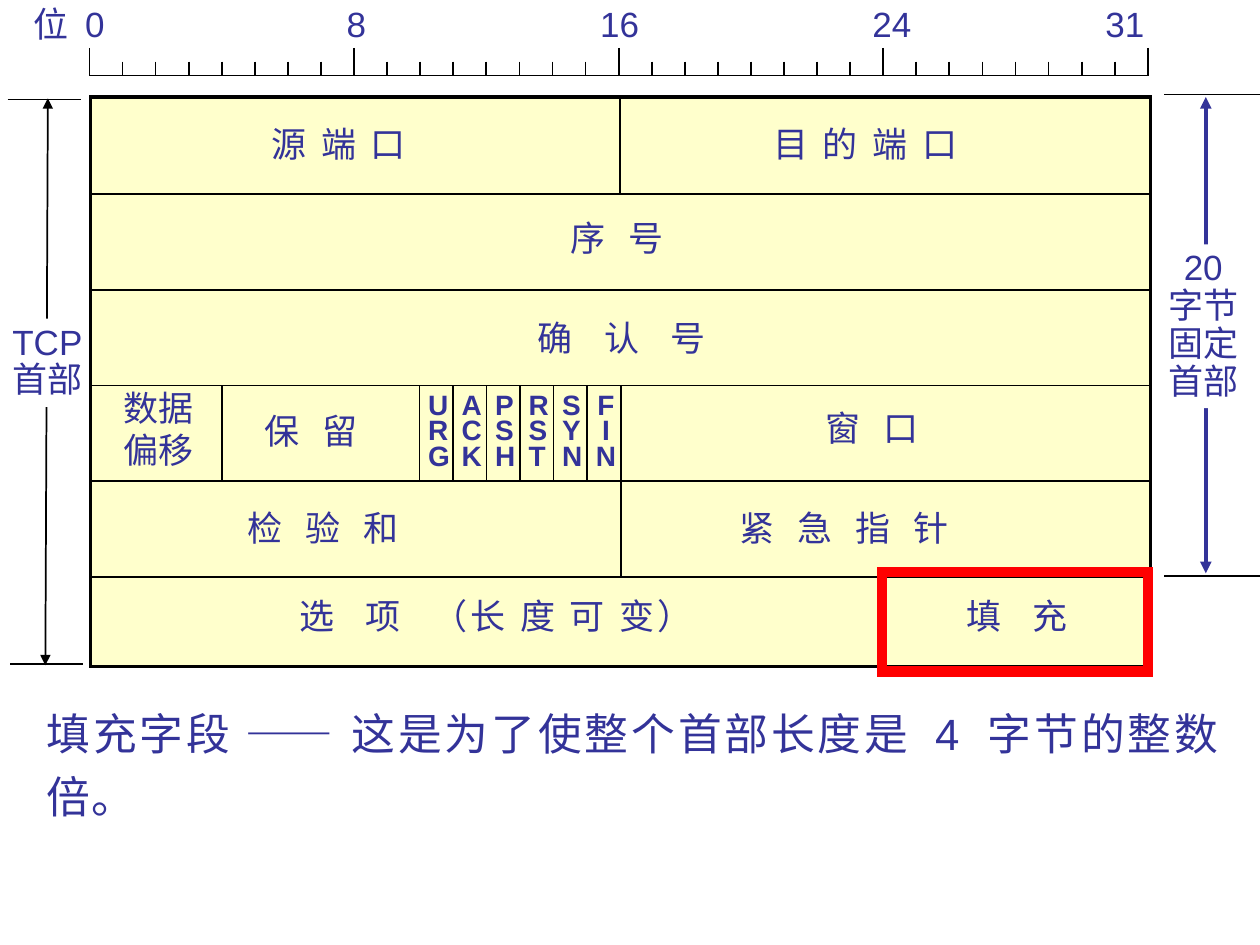
from pptx import Presentation
from pptx.dml.color import RGBColor
from pptx.enum.shapes import MSO_CONNECTOR, MSO_SHAPE
from pptx.enum.text import PP_ALIGN
from pptx.oxml.ns import qn
from pptx.util import Inches, Pt
from lxml.etree import SubElement

INK = "333399"
BLACK = "000000"
WHITE = "FFFFFF"


def rgb(value):
    return RGBColor.from_string(value)


def add_line(s, x1, y1, x2, y2, color=BLACK, width=1, arrows=False):
    c = s.shapes.add_connector(MSO_CONNECTOR.STRAIGHT, Inches(x1), Inches(y1), Inches(x2), Inches(y2))
    c.line.color.rgb = rgb(color)
    c.line.width = Pt(width)
    if arrows:
        ln = c.line._get_or_add_ln()
        for end in ("a:headEnd", "a:tailEnd"):
            SubElement(ln, qn(end), type="triangle")
    SubElement(c._element.spPr, qn("a:effectLst"))


def add_frame(s, x, y, w, h, color, width, fill=None):
    sp = s.shapes.add_shape(MSO_SHAPE.RECTANGLE, Inches(x), Inches(y), Inches(w), Inches(h))
    sp.shadow.inherit = False
    if fill:
        sp.fill.solid()
        sp.fill.fore_color.rgb = rgb(fill)
    else:
        sp.fill.background()
    sp.line.color.rgb = rgb(color)
    sp.line.width = Pt(width)
    SubElement(sp.line._get_or_add_ln(), qn("a:miter"), lim="800000")


def add_text(s, x, y, w, h, lines, size=20, bold=False, align=PP_ALIGN.LEFT,
             spacing=1.0, wrap=True, fill=None, tracking=0):
    sp = s.shapes.add_textbox(Inches(x), Inches(y), Inches(w), Inches(h))
    if fill:
        sp.fill.solid()
        sp.fill.fore_color.rgb = rgb(fill)
    tf = sp.text_frame
    tf.word_wrap = wrap
    tf.text = "\n".join(lines)
    for p in tf.paragraphs:
        p.alignment = align
        p.line_spacing = spacing
        for r in p.runs:
            format_run(r, size, bold, tracking)
    return tf


def format_run(r, size=20, bold=False, tracking=0):
    r.font.name = "Arial"
    r.font.size = Pt(size)
    r.font.bold = bold
    r.font.color.rgb = rgb(INK)
    if tracking:
        r.font._element.set("spc", str(round(tracking * 100)))


def add_field(s, x, y, w, *parts):
    p = add_text(s, x, y, w, 0.43, [""]).paragraphs[0]
    for text, tracking in parts:
        r = p.add_run()
        r.text = text
        format_run(r, tracking=tracking)


def add_ruler(s):
    left, step, base = 0.71, 0.2625, 0.6
    add_line(s, left, base, left + 32 * step, base)
    for bit in range(33):
        x = left + bit * step
        add_line(s, x, 0.49 if bit % 8 else 0.38, x, base)
    p = add_text(s, 0.17, -0.03, 9.5, 0.43, ["位 0\t8\t16\t24\t31"]).paragraphs[0]
    tabs = SubElement(p._p.get_or_add_pPr(), qn("a:tabLst"))
    for pos in (2.56, 4.65, 6.81, 8.66):
        SubElement(tabs, qn("a:tab"), pos=str(Inches(pos)), algn="ctr")


def add_header_grid(s):
    add_frame(s, 0.72, 0.77, 8.41, 4.52, BLACK, 2, "FFFFCC")
    for row in range(5):
        y = 1.54 + 0.76 * row
        add_line(s, 0.72, y, 9.13, y)
    add_line(s, 4.92, 0.78, 4.92, 1.54)
    add_line(s, 4.93, 3.06, 4.93, 4.58)
    add_line(s, 1.76, 3.06, 1.76, 3.82)
    for i, flag in enumerate(("URG", "ACK", "PSH", "RST", "SYN", "FIN")):
        x = 3.33 + 0.266 * i
        add_line(s, x, 3.06, x, 3.82)
        align = PP_ALIGN.CENTER if flag == "FIN" else PP_ALIGN.LEFT
        add_text(s, x - 0.03, 3.09, 0.36, 0.7, flag, 16, True, align, 0.75, wrap=False)


def add_field_names(s):
    narrow, medium, wide = 1.9, 4.3, 6.7
    add_field(s, 2.06, 0.92, 1.59, ("源 端 口", narrow))
    add_field(s, 6.04, 0.92, 2.15, ("目 的 端 口", narrow))
    add_field(s, 4.43, 1.67, 1.51, ("序 号", medium))
    add_field(s, 4.17, 2.46, 2.01, ("确 认 号", wide))
    add_text(s, 0.88, 3.02, 0.76, 0.76, ["数据", "偏移"], wrap=False)
    add_field(s, 2, 3.2, 1.17, ("保 留", medium))
    add_field(s, 6.45, 3.18, 1.17, ("窗 口", medium))
    add_field(s, 1.87, 3.97, 1.87, ("检 验 和", medium))
    add_field(s, 5.77, 3.97, 2.56, ("紧 急 指 针", medium))
    add_field(s, 2.28, 4.67, 4.2, ("选 项 ", wide), ("（长 度 可 变）", narrow))
    add_field(s, 7.57, 4.67, 1.37, ("填 充", wide))


def add_extents(s):
    add_line(s, 0.38, 0.78, 0.36, 5.28, arrows=True)
    add_text(s, 0, 2.53, 0.76, 0.7, ["TCP", "首部"], spacing=0.9, wrap=False, fill=WHITE)
    add_line(s, 9.57, 0.77, 9.57, 4.55, INK, 2.25, arrows=True)
    add_text(s, 9.17, 1.94, 0.76, 1.3, ["20", "字节", "固定", "首部"],
             align=PP_ALIGN.CENTER, spacing=0.9, wrap=False, fill=WHITE)
    for x1, x2, y in ((0.06, 0.64, 0.79), (0.08, 0.66, 5.27), (9.24, 10, 0.75), (9.24, 10, 4.57)):
        add_line(s, x1, y, x2, y)


def main():
    prs = Presentation()
    prs.slide_width, prs.slide_height = Inches(10), Inches(7.5)
    s = prs.slides.add_slide(prs.slide_layouts[6])
    add_extents(s)
    add_header_grid(s)
    add_field_names(s)
    add_ruler(s)
    add_frame(s, 7, 4.54, 2.11, 0.79, "FF0000", 6)
    add_text(s, 0.27, 5.48, 9.51, 1.16, ["填充字段 —— 这是为了使整个首部长度是 4 字节的整数倍。"],
             25, align=PP_ALIGN.JUSTIFY, spacing=1.2, tracking=1)
    prs.save("out.pptx")


if __name__ == "__main__":
    main()
